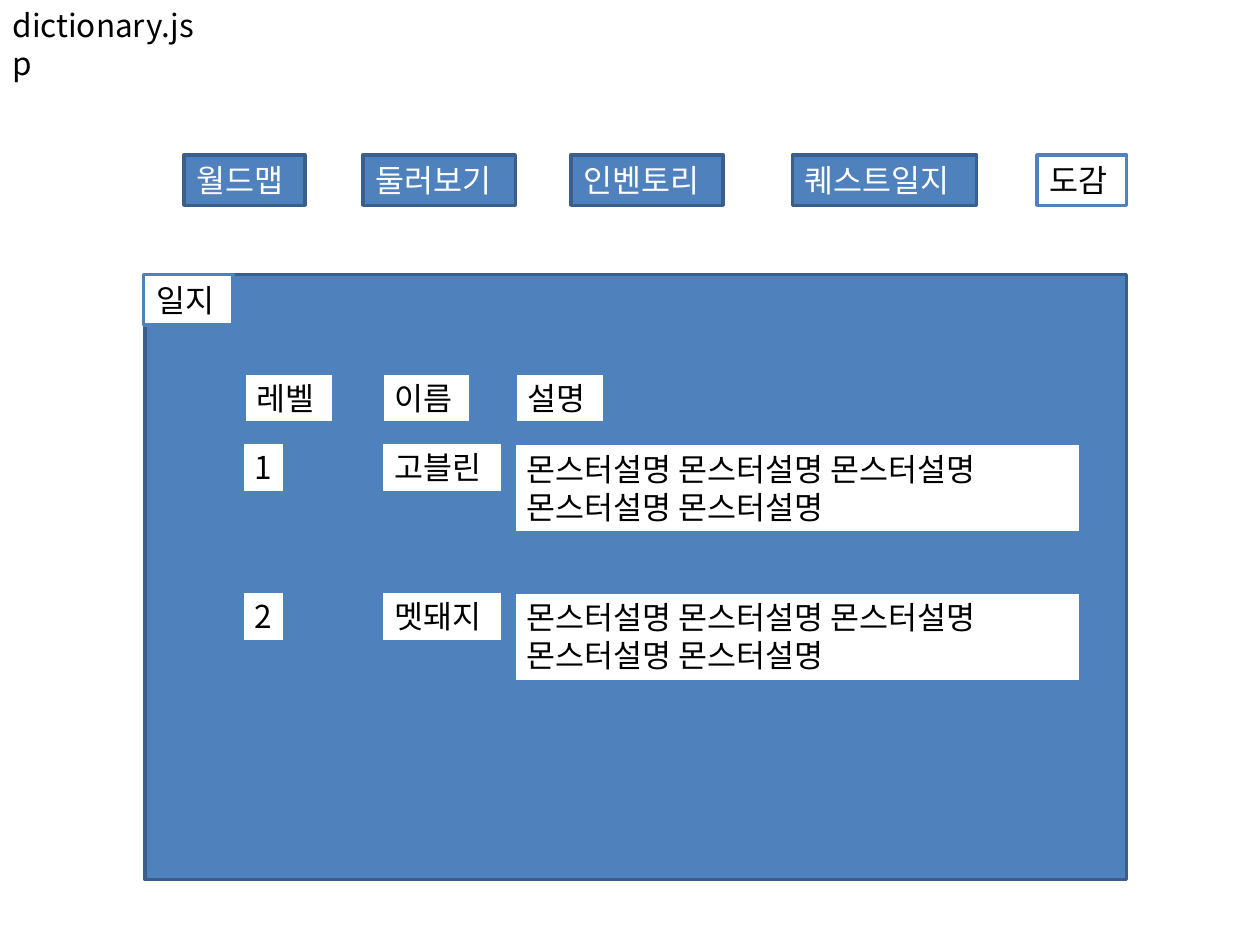
"""Build the monster dictionary page wireframe."""
from lxml.etree import SubElement
from pptx import Presentation
from pptx.dml.color import RGBColor
from pptx.enum.shapes import MSO_SHAPE as Shape
from pptx.enum.text import MSO_ANCHOR as Anchor, MSO_AUTO_SIZE as AutoSize, PP_ALIGN as Align
from pptx.oxml.ns import qn
from pptx.util import Inches, Pt


def color(code):
    return RGBColor.from_string(code)


class Wireframe:
    font = "Noto Sans CJK KR"
    size = 18
    columns, rows = 100, 75
    tag_height = 4
    dark = {"fill": "4F81BD", "line": "3A5F8C", "ink": "FFFFFF"}
    light = {"fill": "FFFFFF", "line": "4F81BD", "ink": "000000"}

    def __init__(self):
        self.deck = Presentation()
        self.deck.slide_width, self.deck.slide_height = Inches(10), Inches(7.5)
        self.page = self.deck.slides.add_slide(self.deck.slide_layouts[5])

    def place(self, left, top, width, height):
        across = self.deck.slide_width / self.columns
        down = self.deck.slide_height / self.rows
        return [round(left * across), round(top * down), round(width * across), round(height * down)]

    def label(self, box, text, ink, wrap):
        frame = box.text_frame
        frame.word_wrap = wrap
        frame.auto_size = AutoSize.NONE
        frame.vertical_anchor = Anchor.TOP
        para = frame.paragraphs[0]
        para.alignment = Align.LEFT
        span = para.add_run()
        span.text = text
        span.font.name, span.font.size = self.font, Pt(self.size)
        span.font.color.rgb = color(ink)
        SubElement(span.font._element, qn("a:ea"), typeface=self.font)

    def title(self, text, left, top, width, height):
        box = self.page.shapes.title
        box.left, box.top, box.width, box.height = self.place(left, top, width, height)
        self.label(box, text, "000000", True)

    def panel(self, left, top, width, height, style):
        box = self.page.shapes.add_shape(Shape.RECTANGLE, *self.place(left, top, width, height))
        box.shadow.inherit = False
        box.fill.solid()
        box.fill.fore_color.rgb = color(style["fill"])
        box.line.color.rgb = color(style["line"])
        box.line.width = Pt(2)
        return box

    def tag(self, text, left, top, style):
        width = 3.4 if text.isdigit() else 2.5 * len(text) + 2.1
        box = self.panel(left, top, width, self.tag_height, style)
        self.label(box, text, style["ink"], False)

    def note(self, text, left, top, width, height):
        box = self.panel(left, top, width, height, self.light)
        self.label(box, text, self.light["ink"], True)


def main():
    sketch = Wireframe()
    dark, light = sketch.dark, sketch.light
    sketch.title("dictionary.jsp", 0, 0, 17, 7.1)

    menu = {"월드맵": 14.6, "둘러보기": 28.8, "인벤토리": 45.3, "퀘스트일지": 62.9, "도감": 82.3}
    for name, left in menu.items():
        sketch.tag(name, left, 12.3, light if name == "도감" else dark)

    sketch.panel(11.5, 21.8, 77.9, 48, dark)
    sketch.tag("일지", 11.4, 21.8, light)
    for heading, left in (("레벨", 19.4), ("이름", 30.3), ("설명", 40.9)):
        sketch.tag(heading, left, 29.6, light)

    description = " ".join(["몬스터설명"] * 5)
    for index, monster in enumerate(("고블린", "멧돼지")):
        top = 35.1 + 11.8 * index
        sketch.tag(str(index + 1), 19.2, top, light)
        sketch.tag(monster, 30.3, top, light)
        sketch.note(description, 40.8, top + 0.1, 45, 7.1)

    sketch.deck.save("out.pptx")


if __name__ == "__main__":
    main()
